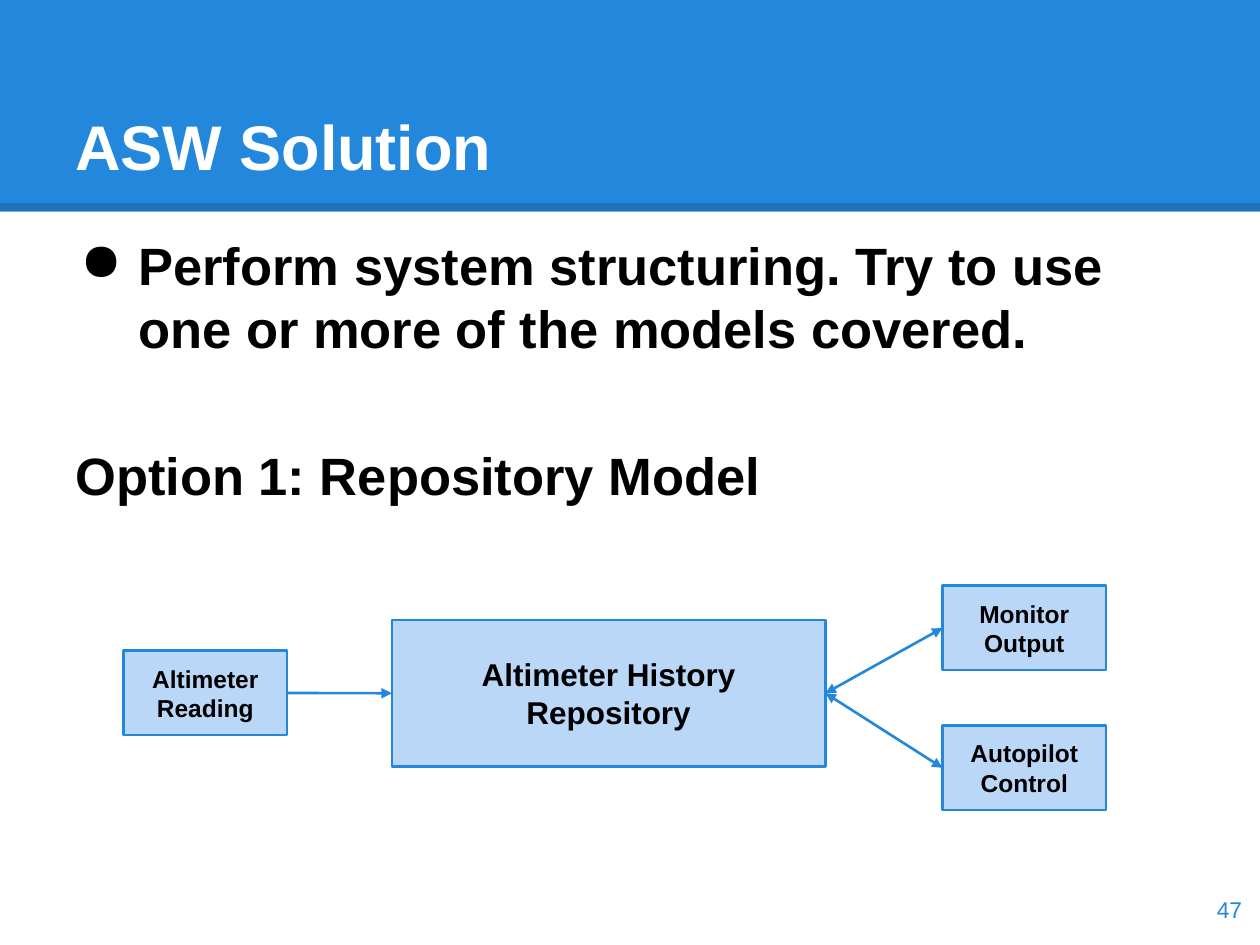
import pptx
import pptx.dml.color
import pptx.enum.shapes
import pptx.enum.text
import pptx.oxml.ns
import pptx.util
from lxml import etree

Cm = pptx.util.Cm
Pt = pptx.util.Pt
ALIGN = pptx.enum.text.PP_ALIGN
ANCHOR = pptx.enum.text.MSO_ANCHOR
RECTANGLE = pptx.enum.shapes.MSO_SHAPE.RECTANGLE
STRAIGHT = pptx.enum.shapes.MSO_CONNECTOR.STRAIGHT

BLUE, PALE, BLACK, WHITE = "2388DB", "BBD7F8", "000000", "FFFFFF"
LEFT_SIDE, RIGHT_SIDE = 1, 3


def colour(value):
    return pptx.dml.color.RGBColor.from_string(value)


def add_xml(parent, tag, **attributes):
    return etree.SubElement(parent, pptx.oxml.ns.qn(tag), attributes)


def format_frame(frame, anchor):
    frame.word_wrap = True
    frame.auto_size = pptx.enum.text.MSO_AUTO_SIZE.NONE
    frame.vertical_anchor = anchor
    frame.margin_left = frame.margin_right = Cm(0.25)
    frame.margin_top = frame.margin_bottom = Cm(0.25)


def format_para(para, size, value, bold=True, align=ALIGN.LEFT):
    para.alignment = align
    para.line_spacing = Pt(size * 1.2)
    for span in para.runs:
        span.font.name = "Arial"
        span.font.size = Pt(size)
        span.font.bold = bold
        span.font.color.rgb = colour(value)


def add_line(page, value, width):
    line = page.shapes.add_connector(STRAIGHT, 0, 0, 0, 0)
    line.line.color.rgb = colour(value)
    line.line.width = Pt(width)
    add_xml(line._element.spPr, "a:effectLst")
    return line


def add_header(page, left, top, width, height, text):
    """Blue band with a darker lower edge and the title on it."""
    band = page.shapes.add_shape(RECTANGLE, left, top, width, height)
    band.shadow.inherit = False
    band.fill.solid()
    band.fill.fore_color.rgb = colour(BLUE)
    band.line.fill.background()

    edge = add_line(page, BLACK, 4.5)
    edge.begin_x, edge.end_x = left, left + width
    edge.begin_y = edge.end_y = top + height - Cm(0.1)
    shade = edge.line.fill.fore_color._xFill.find(pptx.oxml.ns.qn("a:srgbClr"))
    add_xml(shade, "a:alpha", val="15000")

    title = page.shapes.title
    title.left, title.top = left + Cm(1.27), top + Cm(0.76)
    title.width, title.height = width - Cm(2.54), Cm(3.18)
    title.text_frame.text = text
    format_frame(title.text_frame, ANCHOR.BOTTOM)
    format_para(title.text_frame.paragraphs[0], 36, WHITE)
    # The title belongs in front of the band and its edge.
    page.shapes._spTree.append(title._element)


def add_body(page, left, top, width, height, task, option):
    box = page.shapes.add_textbox(left, top, width, height)
    frame = box.text_frame
    format_frame(frame, ANCHOR.TOP)
    frame.text = task
    bullet = frame.paragraphs[0]
    properties = bullet._p.get_or_add_pPr()
    properties.set("marL", str(Cm(1.27)))
    properties.set("indent", str(Cm(-1.17)))
    add_xml(properties, "a:buChar", char="●")
    heading = frame.add_paragraph()
    heading.text = option
    heading.space_before = Pt(48)
    for para in frame.paragraphs:
        format_para(para, 30, BLACK)


def add_component(page, left, top, width, height, text, size=14):
    box = page.shapes.add_shape(RECTANGLE, left, top, width, height)
    box.shadow.inherit = False
    box.fill.solid()
    box.fill.fore_color.rgb = colour(PALE)
    box.line.color.rgb = colour(BLUE)
    box.line.width = Pt(1.5)
    box.text_frame.text = text
    format_frame(box.text_frame, ANCHOR.MIDDLE)
    format_para(box.text_frame.paragraphs[0], size, BLACK, align=ALIGN.CENTER)
    return box


def add_arrow(page, source, target, both_ways=False):
    """Arrow from the right side of source to the left side of target."""
    arrow = add_line(page, BLUE, 1.5)
    arrow.begin_connect(source, RIGHT_SIDE)
    arrow.end_connect(target, LEFT_SIDE)
    outline = arrow.line._get_or_add_ln()
    if both_ways:
        add_xml(outline, "a:headEnd", type="triangle")
    add_xml(outline, "a:tailEnd", type="triangle")


def add_repository_diagram(page, left, top, width, height):
    small_width, small_height = Cm(3.3), Cm(1.7)
    right = left + width - small_width
    repository = add_component(page, left + Cm(5.41), top + Cm(0.69), Cm(8.74),
                               Cm(2.95), "Altimeter History Repository", 18)
    monitor = add_component(page, right, top, small_width, small_height,
                            "Monitor Output")
    autopilot = add_component(page, right, top + height - small_height,
                              small_width, small_height, "Autopilot Control")
    reading = add_component(page, left, top + Cm(1.31), small_width,
                            small_height, "Altimeter Reading")
    add_arrow(page, repository, monitor, both_ways=True)
    add_arrow(page, repository, autopilot, both_ways=True)
    add_arrow(page, reading, repository)


def add_page_number(page, left, top, width, height, number):
    box = page.shapes.add_textbox(left, top, width, height)
    box.text_frame.text = number
    format_frame(box.text_frame, ANCHOR.MIDDLE)
    format_para(box.text_frame.paragraphs[0], 13, BLUE, bold=False,
                align=ALIGN.RIGHT)


def main():
    deck = pptx.Presentation()
    deck.slide_width, deck.slide_height = Cm(25.4), Cm(19.05)
    page = deck.slides.add_slide(deck.slide_layouts.get_by_name("Title Only"))
    add_header(page, 0, 0, deck.slide_width, Cm(4.27), "ASW Solution")
    add_body(page, Cm(1.27), Cm(4.45), Cm(22.86), Cm(6.02),
             "Perform system structuring. Try to use one or more of the "
             "models covered.", "Option 1: Repository Model")
    add_repository_diagram(page, Cm(2.49), Cm(11.81), Cm(19.81), Cm(4.52))
    add_page_number(page, Cm(23.77), Cm(17.6), Cm(1.52), Cm(1.45), "47")
    deck.save("out.pptx")


if __name__ == "__main__":
    main()
